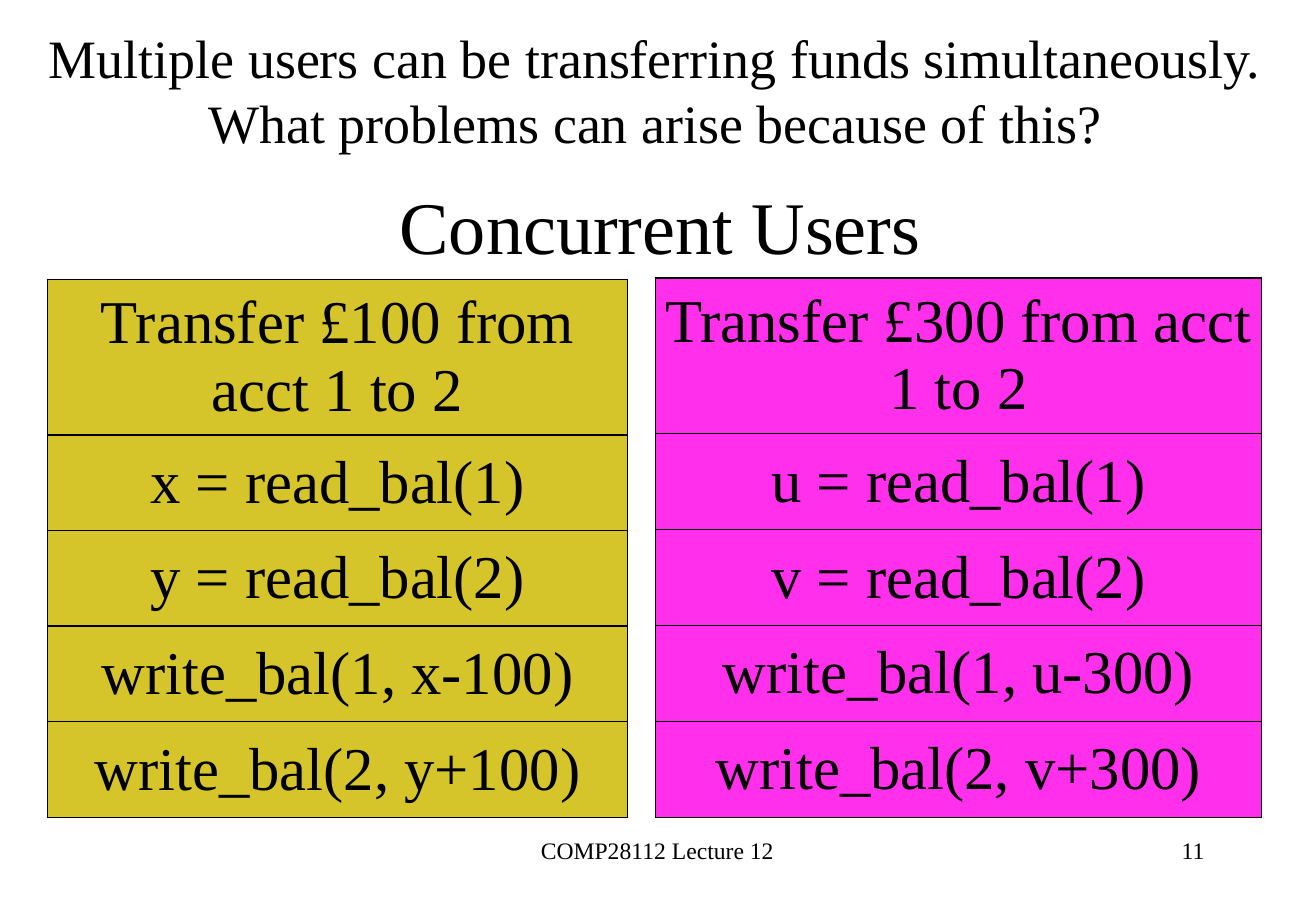
from pptx import Presentation
from pptx.dml.color import RGBColor
from pptx.enum import text
from pptx.oxml import parse_xml
from pptx.oxml.ns import nsdecls
from pptx.util import Inches, Pt

BLACK = RGBColor(0x00, 0x00, 0x00)
GOLD = RGBColor(0xD5, 0xC5, 0x2B)
MAGENTA = RGBColor(0xFF, 0x2F, 0xEB)
FONT = "Times New Roman"
CENTER = text.PP_ALIGN.CENTER
RIGHT = text.PP_ALIGN.RIGHT
MIDDLE = text.MSO_ANCHOR.MIDDLE
HEADING_INSETS = (0.14, 0, 0.17, 0)
FOOTER_INSETS = (0.1, 0.05, 0.1, 0.05)
CELL_INSETS = (0.04, 0.05, 0.04, 0.05)
HEADER_HEIGHT = 1.28


def set_insets(target, insets):
    """Set the left, top, right and bottom margins of a frame or cell."""
    for side, size in zip(("left", "top", "right", "bottom"), insets):
        setattr(target, f"margin_{side}", Inches(size))


def write_line(frame, words, size, align=CENTER):
    """Write one run in the first paragraph of a text frame."""
    para = frame.paragraphs[0]
    para.alignment = align
    span = para.add_run()
    span.text = words
    span.font.name = FONT
    span.font.size = Pt(size)
    span.font.color.rgb = BLACK


def fill_frame(shape, words, size, insets, anchor, align=CENTER):
    """Format the text frame of a shape and write its line."""
    frame = shape.text_frame
    frame.word_wrap = True
    frame.auto_size = text.MSO_AUTO_SIZE.NONE
    frame.vertical_anchor = anchor
    set_insets(frame, insets)
    write_line(frame, words, size, align)


def add_title(page, box, words):
    """Move the title placeholder into its box and fill it."""
    title = page.shapes.title
    title.left, title.top, title.width, title.height = map(Inches, box)
    fill_frame(title, words, 44, HEADING_INSETS, MIDDLE)


def add_question(page, box, words):
    """Add the opening question across the top of the slide."""
    shape = page.shapes.add_textbox(*map(Inches, box))
    fill_frame(shape, words, 32, HEADING_INSETS, MIDDLE)


def add_footer(page, box, words, align):
    """Add one footer text."""
    shape = page.shapes.add_textbox(*map(Inches, box))
    fill_frame(shape, words, 14, FOOTER_INSETS, text.MSO_ANCHOR.TOP, align)


def add_borders(cell):
    """Draw a thin black line on every side of a cell."""
    properties = cell._tc.get_or_add_tcPr()
    for side in "LRTB":
        properties.append(parse_xml(
            f'<a:ln{side} {nsdecls("a")} w="{Pt(0.96)}"><a:solidFill>'
            f'<a:srgbClr val="{BLACK}"/></a:solidFill></a:ln{side}>'))


def add_transfer(page, box, steps, color):
    """Add one user's transfer as a single-column table."""
    left, top, width, height = box
    table = page.shapes.add_table(len(steps), 1, *map(Inches, box)).table
    table.first_row = table.horz_banding = False
    step_height = (height - HEADER_HEIGHT) / (len(steps) - 1)
    for index, step in enumerate(steps):
        table.rows[index].height = Inches(step_height if index else HEADER_HEIGHT)
        cell = table.cell(index, 0)
        cell.vertical_anchor = MIDDLE
        set_insets(cell, CELL_INSETS)
        write_line(cell.text_frame, step, 36)
        add_borders(cell)
        cell.fill.solid()
        cell.fill.fore_color.rgb = color


def main():
    """Build the concurrent users slide."""
    deck = Presentation()
    deck.slide_width, deck.slide_height = Inches(10.84), Inches(7.5)
    page = deck.slides.add_slide(deck.slide_layouts[5])
    add_footer(page, (3.7, 6.83, 3.43, 0.5), "COMP28112 Lecture 12", CENTER)
    add_footer(page, (7.76, 6.83, 2.26, 0.5), "11", RIGHT)
    add_title(page, (0.85, 1.31, 9.21, 1.09), "Concurrent Users")
    add_transfer(page, (0.39, 2.3, 4.78, 4.43), (
        "Transfer £100 from acct 1 to 2", "x = read_bal(1)", "y = read_bal(2)",
        "write_bal(1, x-100)", "write_bal(2, y+100)"), GOLD)
    add_transfer(page, (5.4, 2.29, 4.99, 4.44), (
        "Transfer £300 from acct 1 to 2", "u = read_bal(1)", "v = read_bal(2)",
        "write_bal(1, u-300)", "write_bal(2, v+300)"), MAGENTA)
    add_question(page, (0, 0, 10.83, 1.47),
                 "Multiple users can be transferring funds simultaneously. "
                 "What problems can arise because of this?")
    deck.save("out.pptx")


if __name__ == "__main__":
    main()
